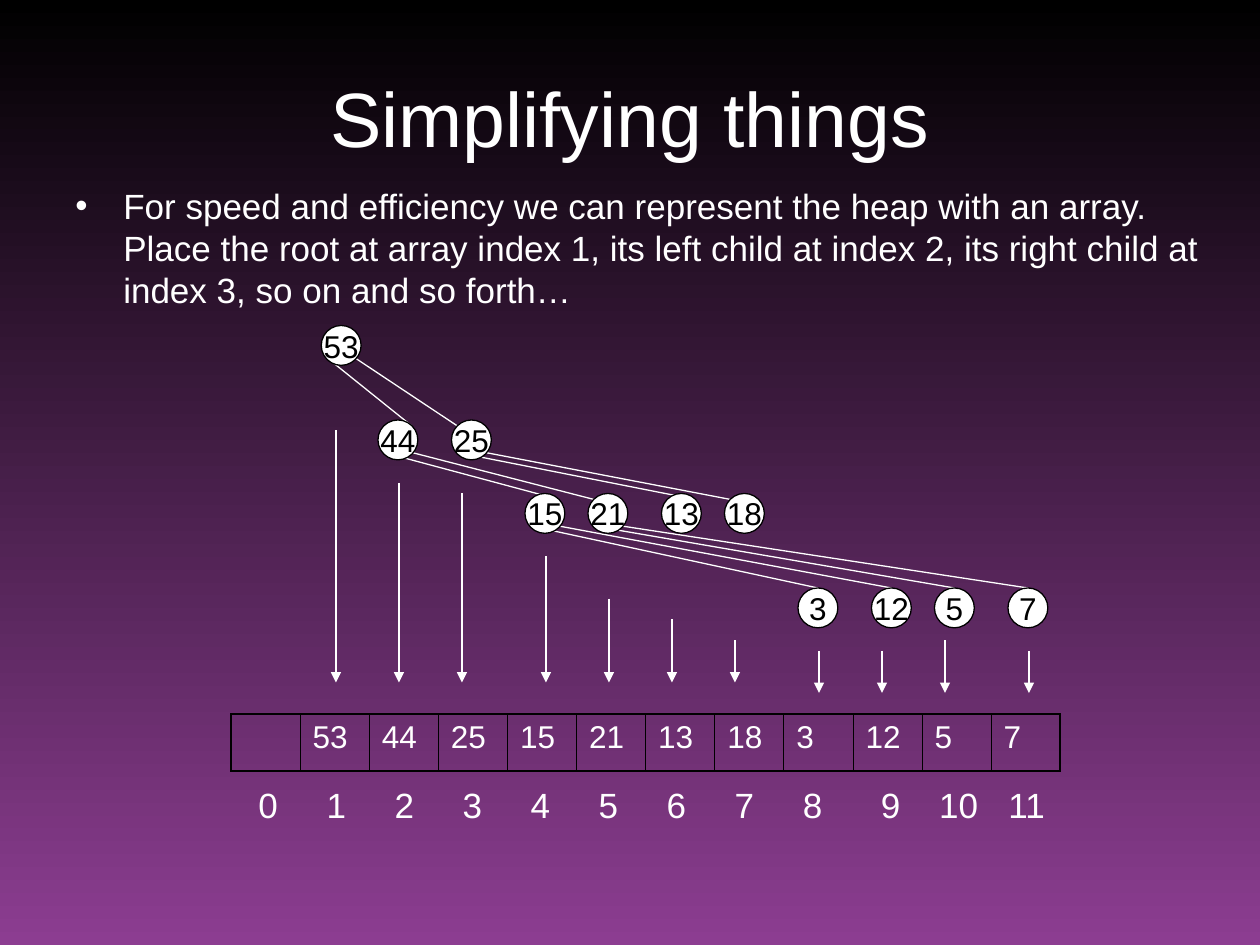
from dataclasses import dataclass
from lxml import etree
from pptx import Presentation
from pptx import util as u
from pptx.dml import color as c
from pptx.enum import shapes, text
from pptx.oxml import ns, xmlchemy as xc

HUES = {"white": "FFFFFF", "black": "000000", "plum": "8C3D91"}
COLS, ROWS = 120, 90
WIDE, TALL = u.Inches(10), u.Inches(7.5)
SIDE = 3.8
FONT = "Arial"


@dataclass
class Node:
    word: str
    left: float
    top: float
    drop: float
    tip: float = 65

    @property
    def leaf(self) -> bool:
        return self.top == 56


HEAP = [
    Node("53", 30.6, 31, 41), Node("44", 36, 40, 46), Node("25", 43, 40, 47),
    Node("15", 50, 47, 53), Node("21", 56, 47, 57), Node("13", 63, 47, 59),
    Node("18", 69, 47, 61), Node("3", 76, 56, 62, 66), Node("12", 83, 56, 62, 66),
    Node("5", 89, 56, 61, 66), Node("7", 96, 56, 62, 66),
]


def col(n: float) -> int:
    return round(WIDE * n / COLS)


def row(n: float) -> int:
    return round(TALL * n / ROWS)


def hue(name: str) -> c.RGBColor:
    return c.RGBColor.from_string(HUES[name])


def add(root, tag: str, **props: str):
    item = etree.SubElement(root, ns.qn(tag))
    for key, val in props.items():
        item.set(key, val)
    return item


def write(para, words: str, size: float, tint: str = "white") -> None:
    run = para.add_run()
    run.text = words
    run.font.name = FONT
    run.font.size = u.Pt(size)
    run.font.color.rgb = hue(tint)


def place(shape, left: float, top: float, wide: float, tall: float) -> None:
    shape.left, shape.top = col(left), row(top)
    shape.width, shape.height = col(wide), row(tall)


def draw_line(slide, x: float, y: float, x2: float, y2: float, head: bool = False) -> None:
    line = slide.shapes.add_connector(
        shapes.MSO_CONNECTOR.STRAIGHT, col(x), row(y), col(x2), row(y2))
    line.line.color.rgb = hue("white")
    line.line.width = u.Pt(0.75)
    if head:
        add(line.line._get_or_add_ln(), "a:tailEnd", type="triangle")
    add(line._element.spPr, "a:effectLst")


def draw_edge(slide, top: Node, child: Node, right: bool) -> None:
    near, far = 0.15 * SIDE, 0.85 * SIDE
    end = SIDE / 2 if child.leaf else near if right else far
    dip = 0 if child.leaf else near
    draw_line(slide, top.left + (far if right else near), top.top + 3.1,
              child.left + end, child.top + dip)


def draw_node(slide, node: Node) -> None:
    disc = slide.shapes.add_shape(
        shapes.MSO_SHAPE.FLOWCHART_CONNECTOR,
        col(node.left), row(node.top), col(SIDE), row(SIDE))
    disc.shadow.inherit = False
    disc.fill.solid()
    disc.fill.fore_color.rgb = hue("white")
    disc.line.color.rgb = hue("black")
    disc.line.width = u.Pt(0.75)
    frame = disc.text_frame
    frame.word_wrap = False
    frame.vertical_anchor = text.MSO_ANCHOR.MIDDLE
    para = frame.paragraphs[0]
    para.alignment = text.PP_ALIGN.CENTER
    write(para, node.word, 18, "black")


def draw_box(slide, left: float, top: float, wide: float, tall: float):
    box = slide.shapes.add_textbox(0, 0, 0, 0)
    place(box, left, top, wide, tall)
    box.text_frame.word_wrap = True
    return box.text_frame.paragraphs[0]


def draw_point(slide, words: str) -> None:
    para = draw_box(slide, 6, 17, 111, 59.4)
    para.space_before = u.Pt(5)
    props = para._p.get_or_add_pPr()
    props.set("marL", str(u.Inches(0.38)))
    props.set("indent", str(-u.Inches(0.38)))
    add(add(props, "a:buClr"), "a:srgbClr", val=HUES["white"])
    add(props, "a:buFont", typeface=FONT)
    add(props, "a:buChar", char="•")
    write(para, words, 20)


def draw_index(slide, count: int) -> None:
    para = draw_box(slide, 21, 74, 81, 5.3)
    para.space_before = u.Pt(12.5)
    tabs = add(para._p.get_or_add_pPr(), "a:tabLst")
    for i in range(count):
        stop = 0.28 + 0.54 * i + (0.08 if i > 8 else 0)
        add(tabs, "a:tab", pos=str(u.Inches(stop)), algn="ctr")
    write(para, "".join(f"\t{i}" for i in range(count)), 20)


def draw_array(slide, words: list[str]) -> None:
    last = len(words) - 1
    table = slide.shapes.add_table(
        1, len(words), col(22), row(68), col(79), row(5.4)).table
    table.first_row = table.horz_banding = False
    for i, word in enumerate(words):
        cell = table.cell(0, i)
        para = cell.text_frame.paragraphs[0]
        para.space_before = u.Pt(4.5)
        if word:
            write(para, word, 18)
        props = cell._tc.get_or_add_tcPr()
        sides = {"L": i == 0, "R": i == last, "T": True, "B": True}
        for side, thick in sides.items():
            width = u.Pt(1.08 if thick else 0.45)
            edge = add(props, f"a:ln{side}", w=str(width))
            add(add(edge, "a:solidFill"), "a:srgbClr", val=HUES["black"])
        add(props, "a:noFill")


def main() -> None:
    deck = Presentation()
    deck.slide_width, deck.slide_height = WIDE, TALL
    slide = deck.slides.add_slide(deck.slide_layouts[5])
    fill = slide.background.fill
    fill.gradient()
    fill.gradient_angle = 270
    for stop, spot, name in zip(fill.gradient_stops, (0, 1), ("black", "plum")):
        stop.position = spot
        stop.color.rgb = hue(name)

    title = slide.shapes.title
    place(title, 6, 3.6, 108, 15)
    title.text_frame.vertical_anchor = text.MSO_ANCHOR.MIDDLE
    para = title.text_frame.paragraphs[0]
    para.alignment = text.PP_ALIGN.CENTER
    write(para, "Simplifying things", 44)
    draw_point(slide, "For speed and efficiency we can represent the heap with an array. "
               "Place the root at array index 1, its left child at index 2, "
               "its right child at index 3, so on and so forth…")

    for i, child in enumerate(HEAP[1:], 1):
        draw_edge(slide, HEAP[(i - 1) // 2], child, i % 2 == 0)
    for node in HEAP:
        draw_node(slide, node)
    draw_index(slide, len(HEAP) + 1)
    for node in HEAP:
        mid = round(node.left + SIDE / 2 - 0.4)
        draw_line(slide, mid, node.drop, mid, node.tip, head=True)
    draw_array(slide, [""] + [node.word for node in HEAP])
    deck.save("out.pptx")


if __name__ == "__main__":
    main()
